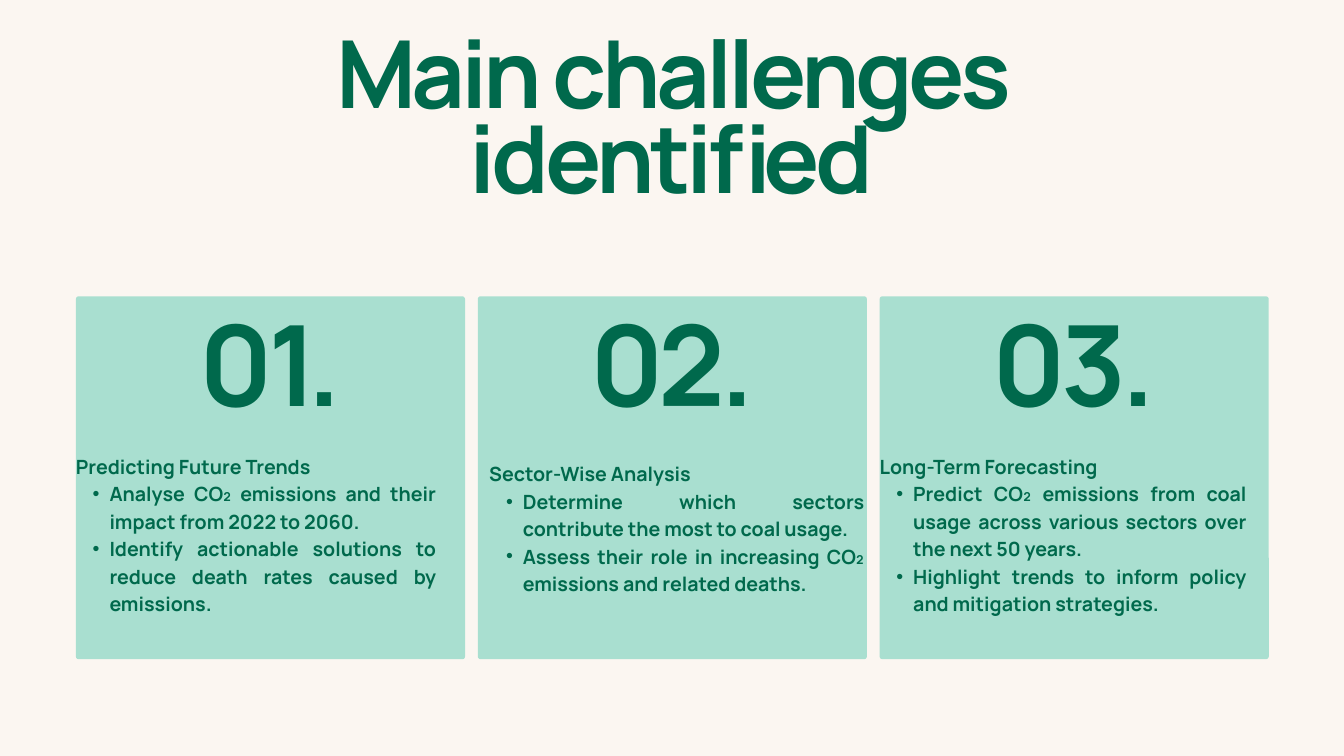
import pptx
import pptx.dml.color
import pptx.enum.shapes
import pptx.enum.text
import pptx.oxml.ns
import pptx.util
from lxml import etree

PX = 9144  # EMU in one px, 100 px to the inch
COLORS = {"paper": "FBF6F1", "card": "A9DFD0", "ink": "00694C"}
ALIGN = pptx.enum.text.PP_ALIGN
Pt = pptx.util.Pt

# Paragraph and font values, with letter spacing in hundredths of a point
STYLES = {
    "title": {
        "para": {"alignment": ALIGN.CENTER, "line_spacing": Pt(90.4)},
        "font": {"size": Pt(100.4)}, "tracking": -460,
    },
    "number": {
        "para": {"alignment": ALIGN.CENTER, "line_spacing": Pt(108)},
        "font": {"size": Pt(120)}, "tracking": -550,
    },
    "heading": {
        "para": {"alignment": ALIGN.JUSTIFY, "line_spacing": Pt(29.4)},
        "font": {"size": Pt(21)},
    },
    "bullet": {
        "para": {"alignment": ALIGN.JUSTIFY, "line_spacing": Pt(29.4), "level": 1},
        "font": {"size": Pt(21)}, "bullet": "•",
    },
}

CARD_LEFT, CARD_TOP, CARD_WIDTH, CARD_HEIGHT, CARD_STEP = 113, 441, 579, 540, 598

# Number, text box (left, top, width, height), heading, bullets
CARDS = [
    ("01.", (113, 671, 536, 285), "Predicting Future Trends", [
        "Analyse CO₂ emissions and their impact from 2022 to 2060.",
        "Identify actionable solutions to reduce death rates caused by emissions.",
    ]),
    ("02.", (728, 682, 558, 244), "Sector-Wise Analysis", [
        "Determine which sectors contribute the most to coal usage.",
        "Assess their role in increasing CO₂ emissions and related deaths.",
    ]),
    ("03.", (1309, 671, 546, 285), "Long-Term Forecasting", [
        "Predict CO₂ emissions from coal usage across various sectors over the next 50 years.",
        "Highlight trends to inform policy and mitigation strategies.",
    ]),
]


def color(name):
    return pptx.dml.color.RGBColor.from_string(COLORS[name])


def apply(target, values):
    for name, value in values.items():
        setattr(target, name, value)


class SlideBuilder:
    def __init__(self, page, font_name):
        self.page = page
        self.font_name = font_name

    def background(self, fill):
        self.page.background.fill.solid()
        self.page.background.fill.fore_color.rgb = color(fill)

    def card(self, left, top, width, height, radius):
        shape = self.page.shapes.add_shape(
            pptx.enum.shapes.MSO_SHAPE.ROUNDED_RECTANGLE,
            left * PX, top * PX, width * PX, height * PX)
        shape.adjustments[0] = radius / min(width, height)
        shape.shadow.inherit = False
        shape.fill.solid()
        shape.fill.fore_color.rgb = color("card")
        shape.line.fill.background()

    def text(self, left, top, width, height, lines):
        """Add a text box; lines are pairs of style name and wording."""
        box = self.page.shapes.add_textbox(
            left * PX, top * PX, width * PX, height * PX)
        frame = box.text_frame
        apply(frame, {
            "word_wrap": True,
            "auto_size": pptx.enum.text.MSO_AUTO_SIZE.SHAPE_TO_FIT_TEXT,
            "margin_left": 0, "margin_top": 0,
            "margin_right": 0, "margin_bottom": 0,
        })
        for index, (style_name, wording) in enumerate(lines):
            para = frame.add_paragraph() if index else frame.paragraphs[0]
            self.paragraph(para, STYLES[style_name], wording)

    def paragraph(self, para, style, wording):
        if "bullet" in style:
            self.bullet(para, style["bullet"])
        apply(para, style["para"])
        span = para.add_run()
        span.text = wording
        apply(span.font, {"name": self.font_name, "bold": True, **style["font"]})
        span.font.color.rgb = color("ink")
        if "tracking" in style:
            span.font._element.set("spc", str(style["tracking"]))

    def bullet(self, para, mark):
        properties = para._p.get_or_add_pPr()
        properties.set("marL", str(50 * PX))
        properties.set("indent", str(-25 * PX))
        font = etree.SubElement(properties, pptx.oxml.ns.qn("a:buFont"))
        font.set("typeface", "Arial")
        char = etree.SubElement(properties, pptx.oxml.ns.qn("a:buChar"))
        char.set("char", mark)


def main():
    deck = pptx.Presentation()
    deck.slide_width, deck.slide_height = 2000 * PX, 1125 * PX
    page = deck.slides.add_slide(deck.slide_layouts[6])
    builder = SlideBuilder(page, "Manrope")
    builder.background("paper")

    # Title
    builder.text(242, 64, 1515, 262, [("title", "Main challenges identified")])

    # Challenge cards
    for index, (number, area, heading, points) in enumerate(CARDS):
        left = CARD_LEFT + index * CARD_STEP
        builder.card(left, CARD_TOP, CARD_WIDTH, CARD_HEIGHT, radius=4)
        builder.text(left + 157, 489, 265, 164, [("number", number)])
        builder.text(*area, [("heading", heading)]
                     + [("bullet", point) for point in points])

    deck.save("out.pptx")


if __name__ == "__main__":
    main()
